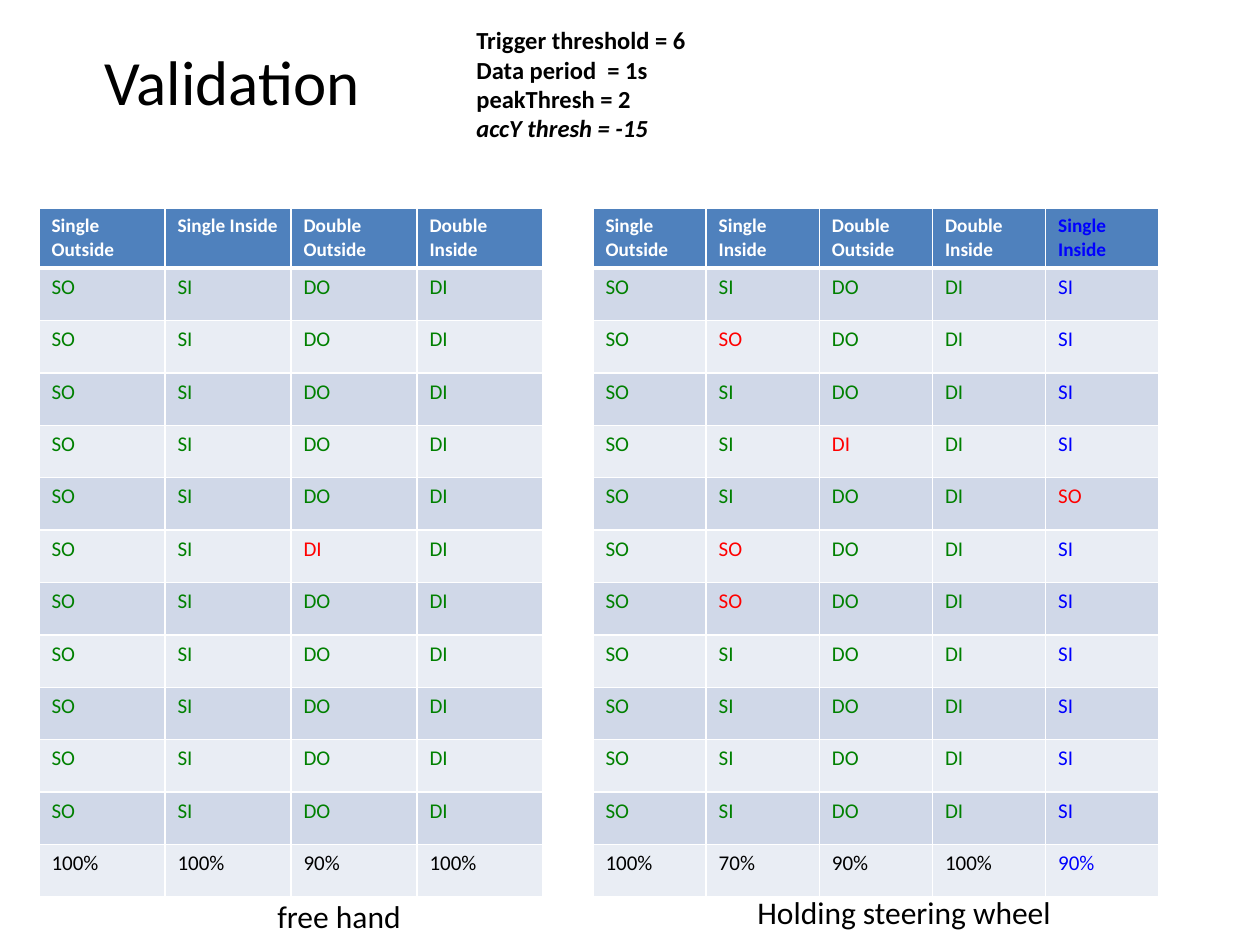
from dataclasses import dataclass

import lxml.etree
import pptx
import pptx.dml.color
import pptx.enum.text
import pptx.oxml.ns
import pptx.util

EMU_PER_PX = 914400 / 126


@dataclass(frozen=True)
class Theme:
    font: str = "Calibri"
    black: str = "000000"
    white: str = "FFFFFF"
    header: str = "4F81BD"
    bands: tuple = ("E9EDF4", "D0D8E8")
    hit: str = "008000"
    miss: str = "FF0000"
    extra: str = "0000FF"
    title_size: int = 36
    caption_size: int = 18
    settings_size: int = 14
    body_size: int = 12
    header_size: int = 11


def px(length):
    return pptx.util.Emu(round(length * EMU_PER_PX))


def rgb(color):
    return pptx.dml.color.RGBColor.from_string(color)


class PageBuilder:
    def __init__(self, page, theme):
        self.page = page
        self.theme = theme

    def format(self, para, size, color, bold=False, italic=False):
        for span in para.runs:
            span.font.name = self.theme.font
            span.font.size = pptx.util.Pt(size)
            span.font.color.rgb = rgb(color)
            span.font.bold = bold
            span.font.italic = italic

    def title(self, text, left, top, width, height):
        box = self.page.shapes.title
        box.left, box.top, box.width, box.height = map(px, (left, top, width, height))
        frame = box.text_frame
        frame.text = text
        frame.vertical_anchor = pptx.enum.text.MSO_ANCHOR.MIDDLE
        para = frame.paragraphs[0]
        para.alignment = pptx.enum.text.PP_ALIGN.CENTER
        self.format(para, self.theme.title_size, self.theme.black)

    def text(self, lines, left, top, width, height, size, bold=False, italic_line=None):
        box = self.page.shapes.add_textbox(*map(px, (left, top, width, height)))
        frame = box.text_frame
        frame.word_wrap = False
        frame.auto_size = pptx.enum.text.MSO_AUTO_SIZE.SHAPE_TO_FIT_TEXT
        frame.text = "\n".join(lines)
        for index, para in enumerate(frame.paragraphs):
            self.format(para, size, self.theme.black, bold, index == italic_line)

    def borders(self, cell, top, bottom):
        properties = cell._tc.get_or_add_tcPr()
        for side, points in (("L", 1), ("R", 1), ("T", top), ("B", bottom)):
            line = lxml.etree.SubElement(properties, pptx.oxml.ns.qn(f"a:ln{side}"),
                                         w=str(pptx.util.Pt(points)))
            fill = lxml.etree.SubElement(line, pptx.oxml.ns.qn("a:solidFill"))
            lxml.etree.SubElement(fill, pptx.oxml.ns.qn("a:srgbClr"), val=self.theme.white)

    def cell(self, cell, text, fill, size, color, bold=False, top=1, bottom=1):
        self.borders(cell, top, bottom)
        cell.fill.solid()
        cell.fill.fore_color.rgb = rgb(fill)
        cell.text = text
        self.format(cell.text_frame.paragraphs[0], size, color, bold)

    def results(self, columns, misses, left, top, width, height, trials=11):
        """Columns hold (heading, expected code, score, is extra); misses map (trial, column) to a code."""
        theme = self.theme
        rows = trials + 2
        table = self.page.shapes.add_table(
            rows, len(columns), *map(px, (left, top, width, height))).table
        for row in table.rows:
            row.height = px(height / rows)
        for col, (heading, code, score, extra) in enumerate(columns):
            table.columns[col].width = px(width / len(columns))
            self.cell(table.cell(0, col), heading, theme.header, theme.header_size,
                      theme.extra if extra else theme.white, bold=True, bottom=3)
            for trial in range(1, trials + 1):
                color = theme.extra if extra else theme.hit
                if (trial, col) in misses:
                    color = theme.miss
                self.cell(table.cell(trial, col), misses.get((trial, col), code),
                          theme.bands[trial % 2], theme.body_size, color,
                          top=3 if trial == 1 else 1)
            self.cell(table.cell(rows - 1, col), score, theme.bands[(rows - 1) % 2],
                      theme.body_size, theme.extra if extra else theme.black)


GESTURES = (("Single Outside", "SO"), ("Single Inside", "SI"),
            ("Double Outside", "DO"), ("Double Inside", "DI"))


def scored(scores):
    return [(*gesture, score, False) for gesture, score in zip(GESTURES, scores)]


def main():
    deck = pptx.Presentation()
    deck.slide_width, deck.slide_height = px(1260), px(945)
    theme = Theme()
    builder = PageBuilder(deck.slides.add_slide(deck.slide_layouts[5]), theme)

    builder.title("Validation", 0, 1, 464, 158)

    # Result tables
    free_hand = scored(("100%", "100%", "90%", "100%"))
    steering = scored(("100%", "70%", "90%", "100%"))
    steering.append(("Single Inside", "SI", "90%", True))
    builder.results(free_hand, {(6, 2): "DI"}, 39, 208, 504, 681)
    builder.results(steering, {(2, 1): "SO", (4, 2): "DI", (5, 4): "SO",
                               (6, 1): "SO", (7, 1): "SO"}, 593, 208, 566, 681)

    # Captions
    builder.text(["free hand"], 265, 891, 150, 50, theme.caption_size)
    builder.text(["Holding steering wheel"], 745, 887, 323, 50, theme.caption_size)

    # Detection settings
    builder.text(["Trigger threshold = 6", "Data period  = 1s", "peakThresh = 2",
                  "accY thresh = -15"], 464, 19, 239, 161, theme.settings_size,
                 bold=True, italic_line=3)

    deck.save("out.pptx")


if __name__ == "__main__":
    main()
